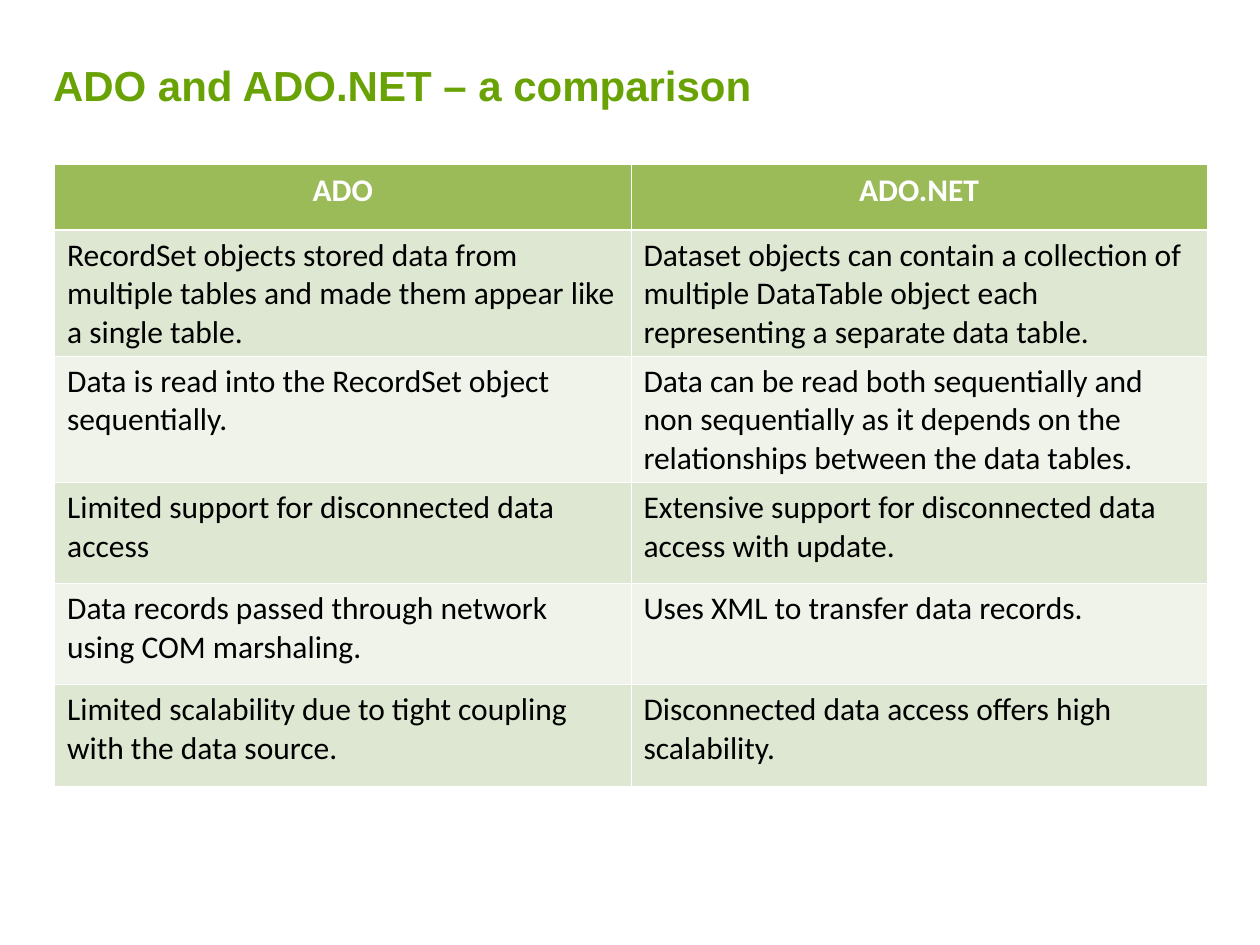
from lxml import etree
from pptx import Presentation
from pptx.dml.color import RGBColor
from pptx.enum.text import MSO_ANCHOR, PP_ALIGN
from pptx.oxml.ns import qn
from pptx.util import Cm, Pt

BOTTOM = MSO_ANCHOR.BOTTOM
LEFT, CENTER = PP_ALIGN.LEFT, PP_ALIGN.CENTER

COLORS = {
    "title": "69A205",
    "header": "9BBB59",
    "odd_row": "DEE7D1",
    "even_row": "EFF3EA",
    "white": "FFFFFF",
    "black": "000000",
}

ROWS = [
    ("ADO", "ADO.NET"),
    ("RecordSet objects stored data from multiple tables and made them appear like a single table.",
     "Dataset objects can contain a collection of multiple DataTable object each representing a separate data table."),
    ("Data is read into the RecordSet object sequentially.",
     "Data can be read both sequentially and non sequentially as it depends on the relationships between the data tables."),
    ("Limited support for disconnected data access",
     "Extensive support for disconnected data access with update."),
    ("Data records passed through network using COM marshaling.",
     "Uses XML to transfer data records."),
    ("Limited scalability due to tight coupling with the data source.",
     "Disconnected data access offers high scalability."),
]
ROW_HEIGHTS = [1.32, 2.54, 2.54, 2.04, 2.04, 2.04]
COLUMN_WIDTH = 11.62
THIN, THICK = Pt(0.45), Pt(1.47)


def add_span(para, text, font_name, size, color, bold):
    span = para.add_run()
    span.text = text
    span.font.name = font_name
    span.font.size = Pt(size)
    span.font.bold = bold
    span.font.color.rgb = RGBColor.from_string(COLORS[color])


def add_border(cell, side, width):
    properties = cell._tc.get_or_add_tcPr()
    line = etree.SubElement(properties, qn(f"a:{side}"), w=str(int(width)))
    fill = etree.SubElement(line, qn("a:solidFill"))
    etree.SubElement(fill, qn("a:srgbClr"), val=COLORS["white"])


deck = Presentation()
deck.slide_width = Cm(25.4)
deck.slide_height = Cm(19.05)
page = deck.slides.add_slide(deck.slide_layouts[6])

# Title
box = page.shapes.add_textbox(Cm(1.07), Cm(0.89), Cm(23.22), Cm(1.45))
frame = box.text_frame
frame.word_wrap = True
frame.vertical_anchor = BOTTOM
frame.margin_left = frame.margin_right = frame.margin_top = 0
frame.margin_bottom = Cm(0.13)
add_span(frame.paragraphs[0], "ADO and ADO.NET – a comparison", "Arial", 24, "title", True)

# Comparison table
table = page.shapes.add_table(
    len(ROWS), 2, Cm(1.1), Cm(3.32), Cm(2 * COLUMN_WIDTH), Cm(sum(ROW_HEIGHTS))
).table
for column in table.columns:
    column.width = Cm(COLUMN_WIDTH)

for row_index, texts in enumerate(ROWS):
    table.rows[row_index].height = Cm(ROW_HEIGHTS[row_index])
    is_header = row_index == 0
    if is_header:
        fill_color = "header"
    else:
        fill_color = "odd_row" if row_index % 2 else "even_row"

    for column_index, text in enumerate(texts):
        cell = table.cell(row_index, column_index)
        para = cell.text_frame.paragraphs[0]
        para.alignment = CENTER if is_header else LEFT
        add_span(para, text, "Calibri", 18, "white" if is_header else "black", is_header)

        # Borders come before the fill in the cell properties
        add_border(cell, "lnL", THIN)
        add_border(cell, "lnR", THIN)
        add_border(cell, "lnT", THICK if row_index == 1 else THIN)
        add_border(cell, "lnB", THICK if is_header else THIN)
        cell.fill.solid()
        cell.fill.fore_color.rgb = RGBColor.from_string(COLORS[fill_color])

deck.save("out.pptx")
